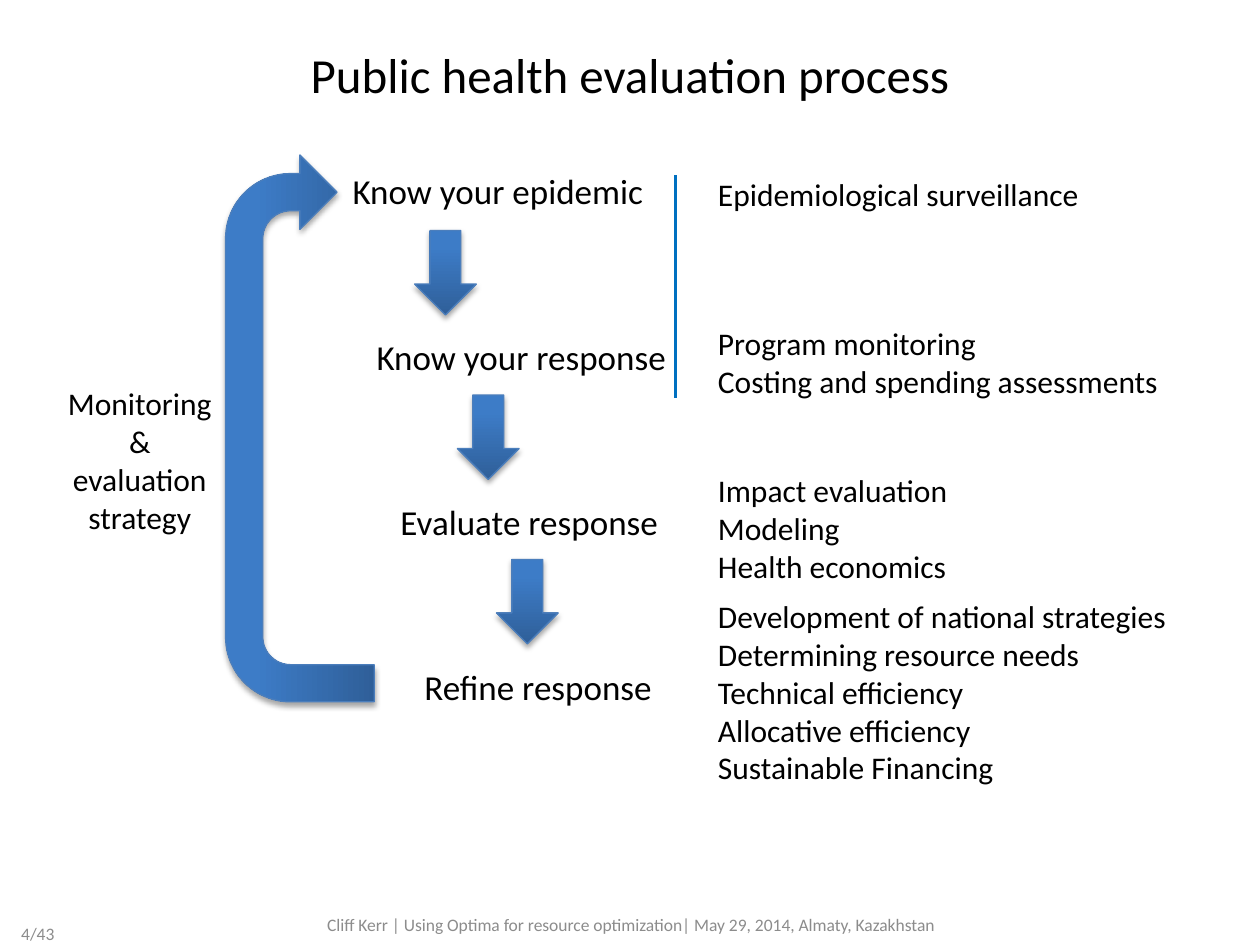
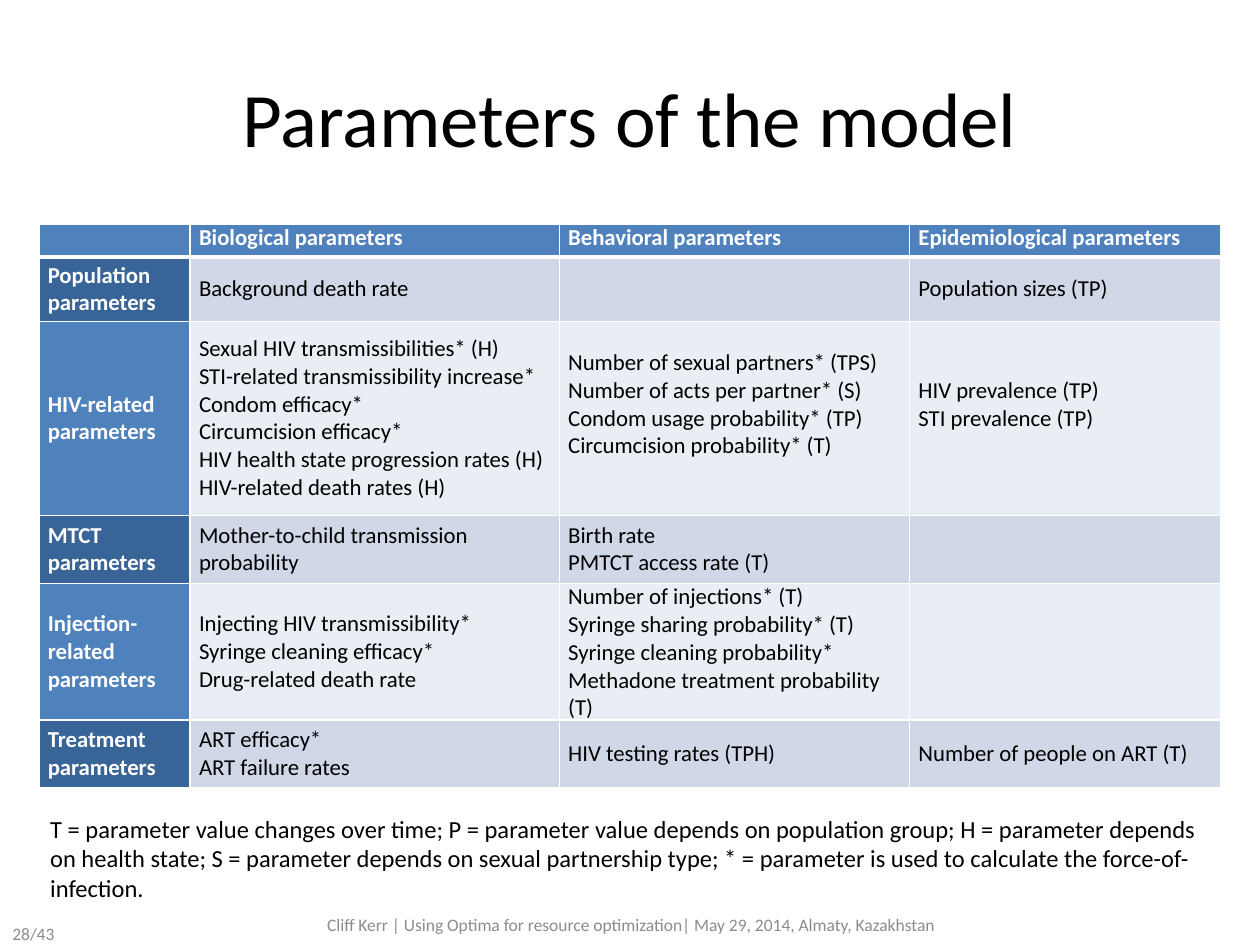
from lxml import etree
from pptx import Presentation
from pptx.dml.color import RGBColor
from pptx.enum import shapes, text
from pptx.oxml import ns
from pptx.util import Inches, Pt

BLACK = RGBColor(0x00, 0x00, 0x00)
WHITE = RGBColor(0xFF, 0xFF, 0xFF)
GREY = RGBColor(0x8C, 0x8C, 0x8C)
ARROW_DARK = RGBColor(0x2F, 0x5F, 0x99)
ARROW_LIGHT = RGBColor(0x3D, 0x7C, 0xC7)
ARROW_EDGE = RGBColor(0x4B, 0x7E, 0xBC)
RULE_BLUE = RGBColor(0x00, 0x70, 0xC0)
HEADER_BLUE = RGBColor(0x4F, 0x81, 0xBD)
BAND_HEADS = [RGBColor(0x39, 0x64, 0x97), HEADER_BLUE]
BAND_FILLS = [RGBColor(0xD0, 0xD8, 0xE8), RGBColor(0xE9, 0xED, 0xF4)]
FONT = "Calibri"
LEFT, CENTER, RIGHT = text.PP_ALIGN.LEFT, text.PP_ALIGN.CENTER, text.PP_ALIGN.RIGHT
TOP, MIDDLE = text.MSO_ANCHOR.TOP, text.MSO_ANCHOR.MIDDLE


def write(frame, words, size=18, color=BLACK, bold=False, align=LEFT, anchor=TOP):
    frame.word_wrap = True
    frame.vertical_anchor = anchor
    for index, line in enumerate(words.split("\n")):
        para = frame.paragraphs[0] if index == 0 else frame.add_paragraph()
        para.alignment = align
        span = para.add_run()
        span.text = line
        span.font.name = FONT
        span.font.size = Pt(size)
        span.font.bold = bold
        span.font.color.rgb = color


def add_arrow(page, kind, left, top, width, height, rotation=0):
    arrow = page.shapes.add_shape(kind, Inches(left), Inches(top), Inches(width), Inches(height))
    arrow.rotation = rotation
    arrow.fill.gradient()
    arrow.fill.gradient_angle = 90
    dark, light = arrow.fill.gradient_stops
    dark.color.rgb, dark.position = ARROW_DARK, 0
    light.color.rgb, light.position = ARROW_LIGHT, 0.8
    arrow.line.color.rgb = ARROW_EDGE
    arrow.line.width = Pt(0.75)
    arrow.shadow.inherit = False
    effects = arrow._element.spPr.find(ns.qn("a:effectLst"))
    shadow = etree.SubElement(effects, ns.qn("a:outerShdw"), blurRad=str(Pt(3.1)),
                              dist=str(Pt(1.8)), dir="5400000", rotWithShape="0")
    tint = etree.SubElement(shadow, ns.qn("a:srgbClr"), val="000000")
    etree.SubElement(tint, ns.qn("a:alpha"), val="35000")


deck = Presentation()
deck.slide_width, deck.slide_height = Inches(10), Inches(7.5)

FOOTER = "Cliff Kerr | Using Optima for resource optimization| May 29, 2014, Almaty, Kazakhstan"
pages = []
for title, size, anchor, number in [
    ("Public health evaluation process", 28, TOP, "4/43"),
    ("Parameters of the model", 44, MIDDLE, "28/43"),
]:
    page = deck.slides.add_slide(deck.slide_layouts[5])
    heading = page.shapes.title
    heading.left, heading.top = Inches(0.5), Inches(0.3)
    heading.width, heading.height = Inches(9), Inches(1.25)
    write(heading.text_frame, title, size=size, align=CENTER, anchor=anchor)
    for words, left, top, width, align in [
        (number, -0.12, 7.21, 0.65, RIGHT),
        (FOOTER, 2.4, 7.14, 5.21, CENTER),
    ]:
        box = page.shapes.add_textbox(Inches(left), Inches(top), Inches(width), Inches(0.4))
        write(box.text_frame, words, size=10, color=GREY, align=align, anchor=MIDDLE)
    pages.append(page)

process, parameters = pages

steps = ["Know your epidemic", "Know your response", "Evaluate response", "Refine response"]
for index, step in enumerate(steps):
    box = process.shapes.add_textbox(Inches(2.7 + 0.19 * index), Inches(1.3 + 1.31 * index),
                                     Inches(3.23), Inches(0.44))
    write(box.text_frame, step, size=20)

for index, left in enumerate([3.29, 3.63, 3.94]):
    add_arrow(process, shapes.MSO_SHAPE.DOWN_ARROW, left, 1.83 + 1.305 * index, 0.49, 0.67)
add_arrow(process, shapes.MSO_SHAPE.U_TURN_ARROW, 0.21, 2.81, 4.34, 1.18, rotation=270)

for words, left, top, width, height, align in [
    ("Epidemiological surveillance", 5.6, 1.34, 4.04, 0.4, LEFT),
    ("Program monitoring\nCosting and spending assessments", 5.6, 2.52, 4.04, 0.71, LEFT),
    ("Impact evaluation\nModeling\nHealth economics", 5.6, 3.69, 4.04, 1.01, LEFT),
    ("Development of national strategies\nDetermining resource needs\nTechnical efficiency\n"
     "Allocative efficiency\nSustainable Financing", 5.6, 4.69, 4.04, 1.62, LEFT),
    ("Monitoring & evaluation strategy", 0.43, 3, 1.36, 1.31, CENTER),
]:
    box = process.shapes.add_textbox(Inches(left), Inches(top), Inches(width), Inches(height))
    write(box.text_frame, words, align=align)

rule = process.shapes.add_connector(shapes.MSO_CONNECTOR.STRAIGHT, Inches(5.36), Inches(1.39),
                                    Inches(5.36), Inches(3.16))
rule.line.color.rgb = RULE_BLUE
rule.line.width = Pt(1.5)
etree.SubElement(rule._element.spPr, ns.qn("a:effectLst"))

rows = [
    ["", "Biological parameters", "Behavioral parameters", "Epidemiological parameters"],
    ["Population parameters", "Background death rate", "", "Population sizes (TP)"],
    ["HIV-related parameters",
     "Sexual HIV transmissibilities* (H)\nSTI-related transmissibility increase*\n"
     "Condom efficacy*\nCircumcision efficacy*\n"
     "HIV health state progression rates (H)\nHIV-related death rates (H)",
     "Number of sexual partners* (TPS)\nNumber of acts per partner* (S)\n"
     "Condom usage probability* (TP)\nCircumcision probability* (T)",
     "HIV prevalence (TP)\nSTI prevalence (TP)"],
    ["MTCT parameters", "Mother-to-child transmission probability",
     "Birth rate\nPMTCT access rate (T)", ""],
    ["Injection-related parameters",
     "Injecting HIV transmissibility*\nSyringe cleaning efficacy*\nDrug-related death rate",
     "Number of injections* (T)\nSyringe sharing probability* (T)\n"
     "Syringe cleaning probability*\nMethadone treatment probability (T)", ""],
    ["Treatment parameters", "ART efficacy*\nART failure rates", "HIV testing rates (TPH)",
     "Number of people on ART (T)"],
]
widths = [1.2, 2.93, 2.78, 2.47]
heights = [0.26, 0.51, 1.54, 0.54, 1.03, 0.54]
raised_cells = [(2, 2), (2, 3)]
table = parameters.shapes.add_table(len(rows), len(widths), Inches(0.31), Inches(1.78),
                                    Inches(sum(widths)), Inches(sum(heights))).table
for column, width in zip(table.columns, widths):
    column.width = Inches(width)

for r, row in enumerate(rows):
    table.rows[r].height = Inches(heights[r])
    for c, words in enumerate(row):
        cell = table.cell(r, c)
        cell.margin_left = cell.margin_right = Inches(0.07)
        cell.margin_top = 0
        cell.margin_bottom = Inches(0.22 if (r, c) in raised_cells else 0)
        is_head = r == 0 or c == 0
        if words:
            write(cell.text_frame, words, size=13, color=WHITE if is_head else BLACK, bold=is_head)
        else:
            etree.SubElement(cell.text_frame.paragraphs[0]._p, ns.qn("a:endParaRPr"), sz="1300")
        cell.vertical_anchor = TOP if r == 0 else MIDDLE
        for side in ["L", "R", "T", "B"]:
            thick = (r, side) in [(0, "B"), (1, "T")]
            border = etree.SubElement(cell._tc.get_or_add_tcPr(), ns.qn("a:ln" + side),
                                      w=str(Pt(3 if thick else 1)))
            paint = etree.SubElement(border, ns.qn("a:solidFill"))
            etree.SubElement(paint, ns.qn("a:srgbClr"), val=str(WHITE))
        cell.fill.solid()
        if r == 0:
            cell.fill.fore_color.rgb = HEADER_BLUE
        else:
            cell.fill.fore_color.rgb = (BAND_HEADS if c == 0 else BAND_FILLS)[(r - 1) % 2]

legend = parameters.shapes.add_textbox(Inches(0.3), Inches(6.41), Inches(9.43), Inches(0.57))
write(legend.text_frame,
      "T = parameter value changes over time; P = parameter value depends on population group; "
      "H = parameter depends on health state; S = parameter depends on sexual partnership type; "
      "* = parameter is used to calculate the force-of-infection.", size=14)

deck.save("out.pptx")
